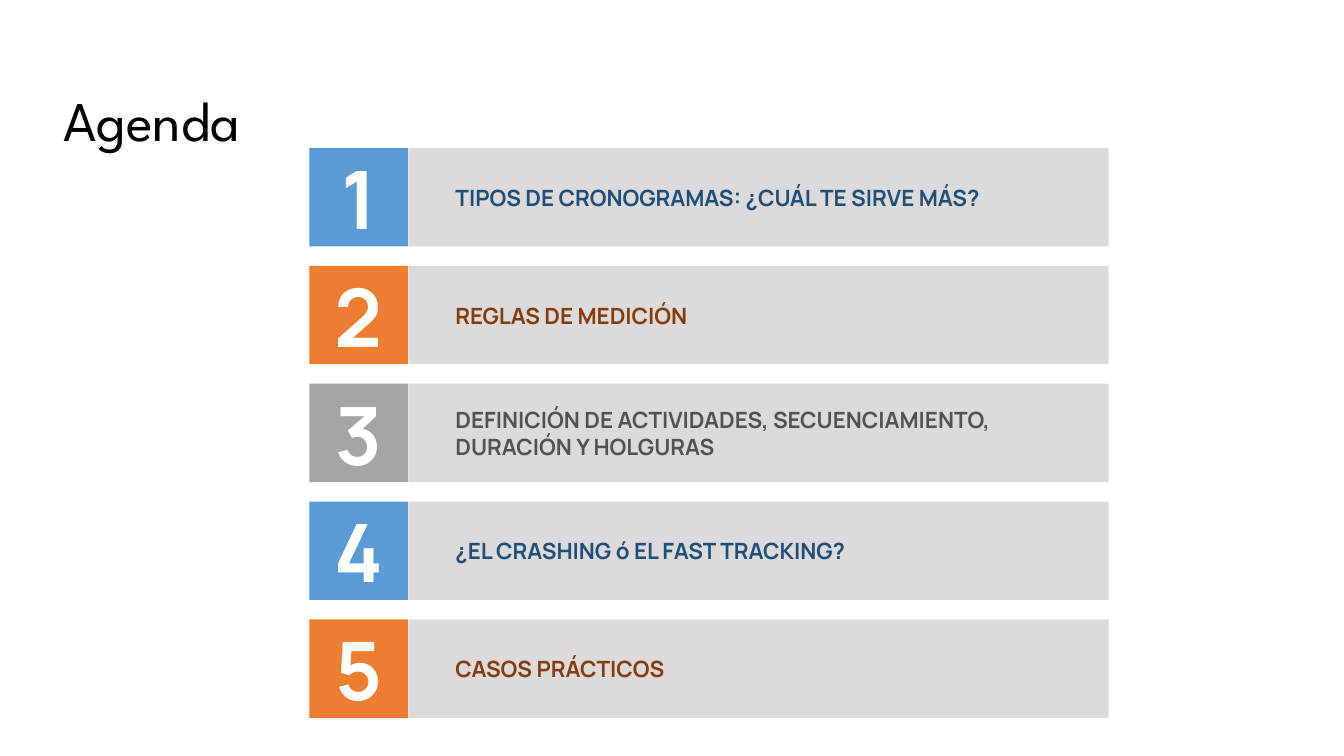
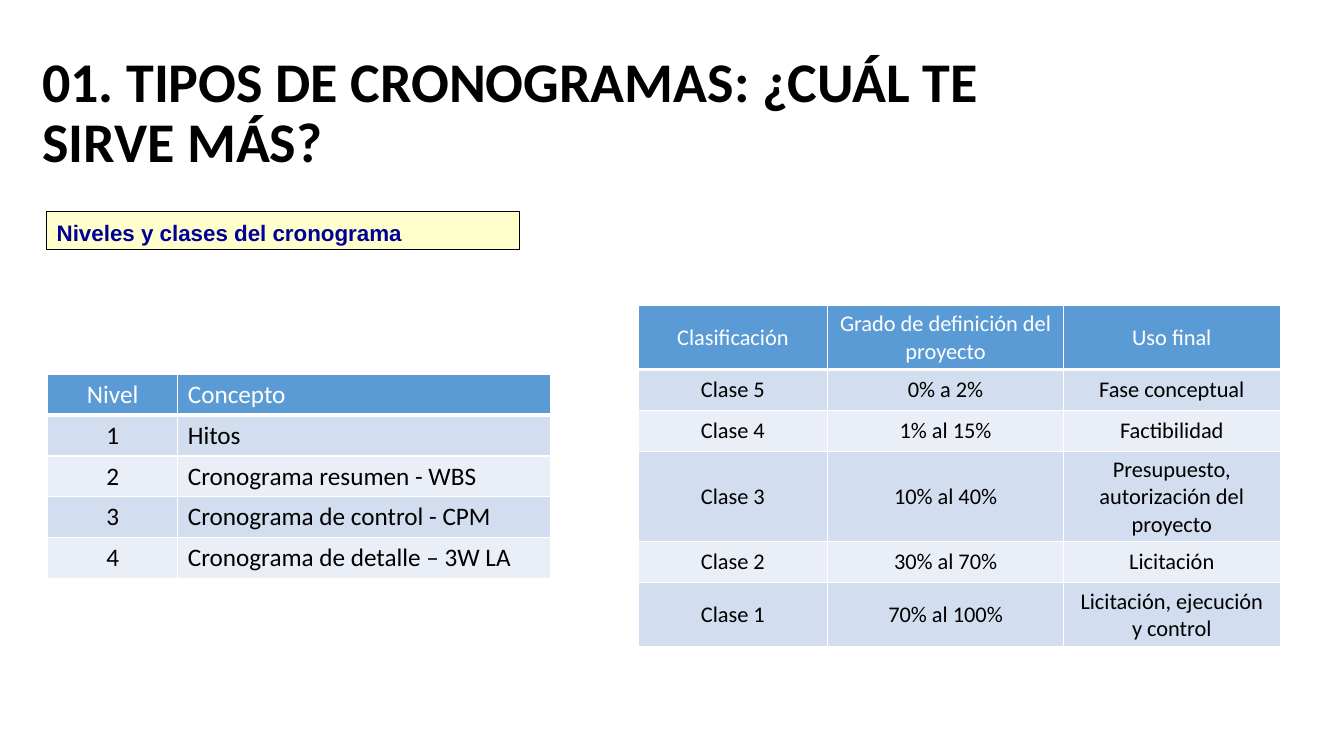
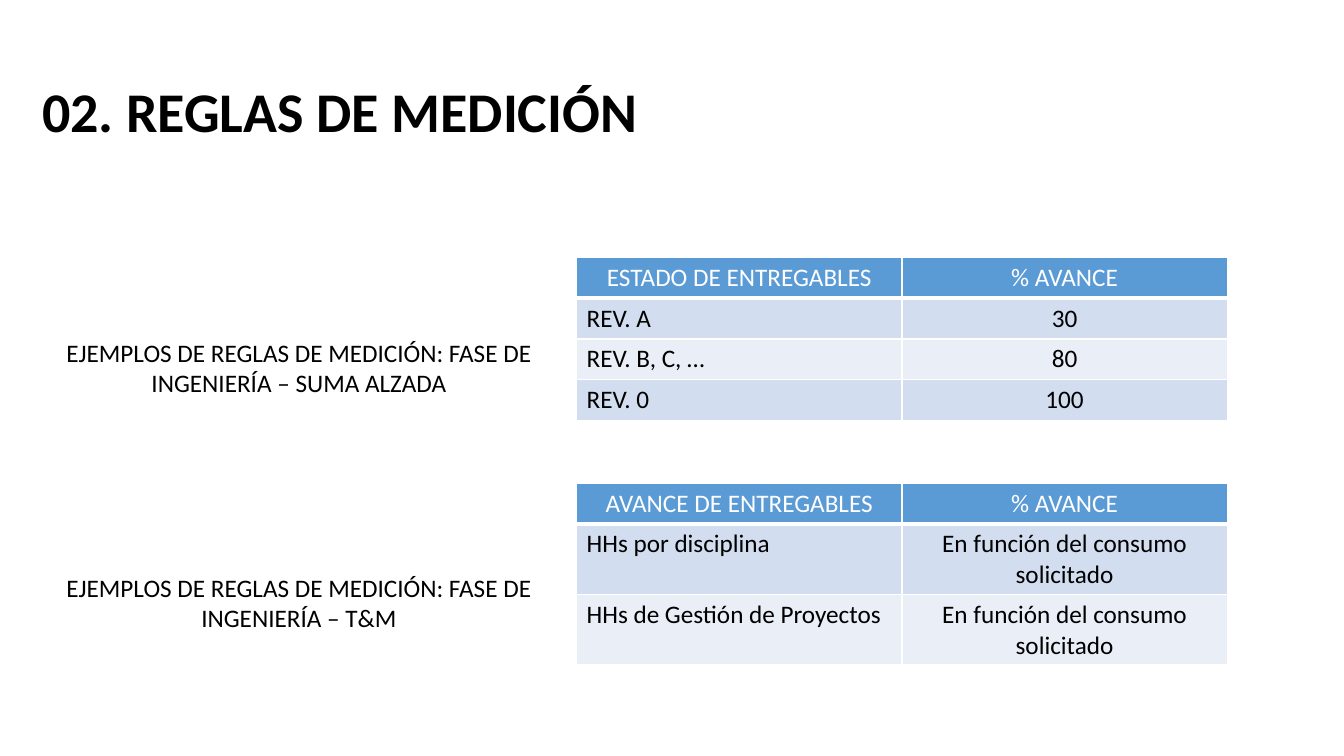
import pptx
import pptx.dml.color
import pptx.enum.shapes
import pptx.enum.text
import pptx.oxml
import pptx.oxml.ns
import pptx.util

Cm = pptx.util.Cm
Pt = pptx.util.Pt
ALIGN = pptx.enum.text.PP_ALIGN
ANCHOR = pptx.enum.text.MSO_ANCHOR
RECT = pptx.enum.shapes.MSO_SHAPE.RECTANGLE

BLACK, WHITE = "000000", "FFFFFF"
BLUE, ORANGE, GRAY, SILVER = "5B9BD5", "ED7D31", "A5A5A5", "DCDADA"
NAVY, BROWN, SLATE = "1F4E79", "843C0B", "525252"
BANDS = ["D2DEEF", "EAEFF7"]
ROW = 1.03

AGENDA = [
    ("TIPOS DE CRONOGRAMAS: ¿CUÁL TE SIRVE MÁS?", BLUE, NAVY),
    ("REGLAS DE MEDICIÓN", ORANGE, BROWN),
    ("DEFINICIÓN DE ACTIVIDADES, SECUENCIAMIENTO, DURACIÓN Y HOLGURAS", GRAY, SLATE),
    ("¿EL CRASHING ó EL FAST TRACKING?", BLUE, NAVY),
    ("CASOS PRÁCTICOS", ORANGE, BROWN),
]
LEVELS = [
    ("Nivel", "Concepto"),
    ("1", "Hitos"),
    ("2", "Cronograma resumen - WBS"),
    ("3", "Cronograma de control - CPM"),
    ("4", "Cronograma de detalle – 3W LA"),
]
GRADES = [
    ("Clasificación", "Grado de definición del proyecto", "Uso final"),
    ("Clase 5", "0% a 2%", "Fase conceptual"),
    ("Clase 4", "1% al 15%", "Factibilidad"),
    ("Clase 3", "10% al 40%", "Presupuesto, autorización del proyecto"),
    ("Clase 2", "30% al 70%", "Licitación"),
    ("Clase 1", "70% al 100%", "Licitación, ejecución y control"),
]
STATES = [
    ("ESTADO DE ENTREGABLES", "% AVANCE"),
    ("REV. A", "30"),
    ("REV. B, C, …", "80"),
    ("REV. 0", "100"),
]
HOURS = [
    ("AVANCE DE ENTREGABLES", "% AVANCE"),
    ("HHs por disciplina", "En función del consumo solicitado"),
    ("HHs de Gestión de Proyectos", "En función del consumo solicitado"),
]


def paint(target, shade):
    if hasattr(target, "solid"):
        target.solid()
        target = target.fore_color
    target.rgb = pptx.dml.color.RGBColor.from_string(shade)


def write(frame, text, size, face="Calibri", shade=BLACK, bold=False,
          align=ALIGN.LEFT, space=None):
    para = frame.paragraphs[0]
    para.text = text
    para.alignment = align
    para.line_spacing = space
    font = para.font
    font.name, font.size, font.bold = face, Pt(size), bold
    paint(font.color, shade)


def label(slide, box, text, size, anchor=ANCHOR.TOP, **style):
    frame = slide.shapes.add_textbox(*map(Cm, box)).text_frame
    frame.word_wrap = True
    frame.vertical_anchor = anchor
    write(frame, text, size, **style)


def block(slide, box, fill, text, size, anchor=ANCHOR.MIDDLE, edge=None,
          inset=(0.25, 0.25), **style):
    shape = slide.shapes.add_shape(RECT, *map(Cm, box))
    shape.shadow.inherit = False
    paint(shape.fill, fill)
    if edge:
        paint(shape.line.fill, edge)
        shape.line.width = Pt(0.75)
    else:
        shape.line.fill.background()
    frame = shape.text_frame
    frame.word_wrap = True
    frame.vertical_anchor = anchor
    frame.margin_left, frame.margin_right = map(Cm, inset)
    write(frame, text, size, **style)


def title(slide, text):
    label(slide, (0.81, 1.04, 25.22, 3.68), text, 40, ANCHOR.MIDDLE,
          bold=True, space=0.9)


def rule(cell, side, width):
    props = cell._tc.get_or_add_tcPr()
    line = pptx.oxml.parse_xml(
        f'<a:{side} {pptx.oxml.ns.nsdecls("a")} w="{Pt(width)}"><a:solidFill>'
        f'<a:srgbClr val="{WHITE}"/></a:solidFill></a:{side}>')
    props.append(line)


def table(slide, left, top, widths, data, aligns, size=18, anchor=ANCHOR.TOP,
          heads=None):
    grid = slide.shapes.add_table(
        len(data), len(widths), Cm(left), Cm(top),
        Cm(sum(widths)), Cm(ROW * len(data))).table
    for col, width in zip(grid.columns, widths):
        col.width = Cm(width)
    for i, line in enumerate(data):
        grid.rows[i].height = Cm(ROW)
        for j, text in enumerate(line):
            cell = grid.cell(i, j)
            cell.vertical_anchor = anchor
            for side in ("lnL", "lnR", "lnT", "lnB"):
                rule(cell, side, 3 if i == 0 and side == "lnB" else 1)
            paint(cell.fill, BANDS[(i - 1) % 2] if i else BLUE)
            write(cell.text_frame, text, size, shade=BLACK if i else WHITE,
                  align=aligns[j] if i else (heads or aligns)[j])


def agenda(slide):
    label(slide, (1.35, 2.03, 20.37, 1.96), "Agenda", 40, face="League Spartan")
    side, step = 2.48, 2.97
    for i, (text, fill, shade) in enumerate(AGENDA):
        top = 3.73 + i * step
        block(slide, (7.8, top, side, side), fill, str(i + 1), 57.5,
              face="Manrope", shade=WHITE, bold=True, align=ALIGN.CENTER,
              inset=(0, 0))
        block(slide, (10.29, top, 17.65, side), SILVER, text, 16,
              face="Manrope", shade=shade, bold=True, inset=(1.19, 0.66))


def types(slide):
    title(slide, "01. TIPOS DE CRONOGRAMAS: ¿CUÁL TE SIRVE MÁS?")
    block(slide, (1.18, 5.33, 11.92, 0.95), "FFFFCC",
          "Niveles y clases del cronograma", 16, ANCHOR.TOP, BLACK,
          face="Arial", shade="000099", bold=True, space=1.1)
    table(slide, 1.2, 9.43, (3.28, 9.4), LEVELS, (ALIGN.CENTER, ALIGN.LEFT))
    table(slide, 16.08, 7.7, (4.78, 5.94, 5.46), GRADES, [ALIGN.CENTER] * 3,
          16, ANCHOR.MIDDLE)


def rules(slide):
    title(slide, "02. REGLAS DE MEDICIÓN")
    for top, data, low, phase in ((6.48, STATES, 8.38, "SUMA ALZADA"),
                                  (12.17, HOURS, 14.3, "T&M")):
        table(slide, 14.53, top, (8.2, 8.2), data, (ALIGN.LEFT, ALIGN.CENTER),
              heads=[ALIGN.CENTER] * 2)
        label(slide, (1.02, low, 13.03, 1.8),
              f"EJEMPLOS DE REGLAS DE MEDICIÓN: FASE DE INGENIERÍA – {phase}",
              18, align=ALIGN.CENTER)


def main():
    deck = pptx.Presentation()
    deck.slide_width, deck.slide_height = Cm(33.87), Cm(19.05)
    for build in (agenda, types, rules):
        build(deck.slides.add_slide(deck.slide_layouts[6]))
    deck.save("out.pptx")


if __name__ == "__main__":
    main()
